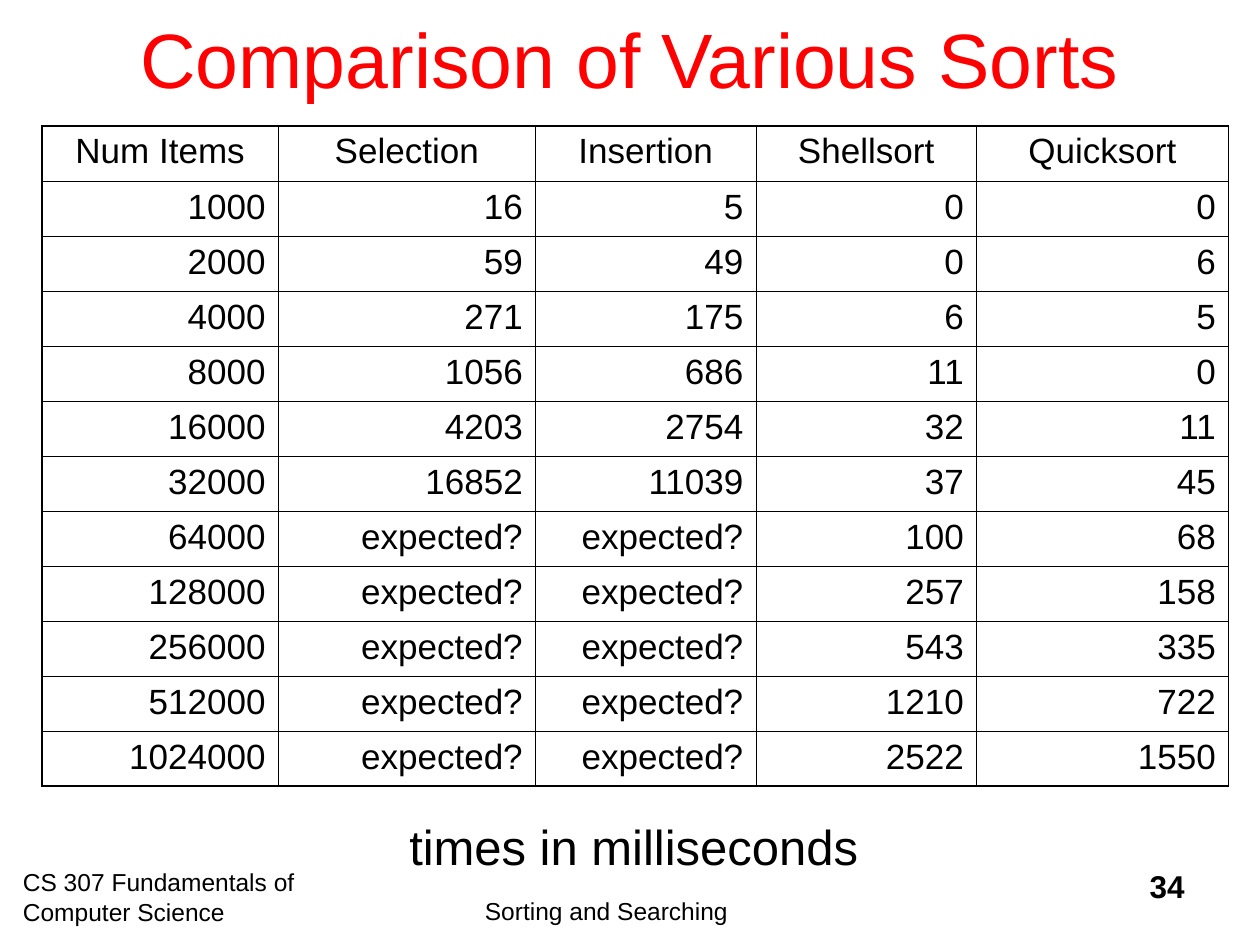
from dataclasses import dataclass

from lxml.etree import SubElement
from pptx import Presentation
from pptx.dml.color import RGBColor
from pptx.enum.text import MSO_ANCHOR as Anchor, MSO_AUTO_SIZE as AutoSize, PP_ALIGN as Align
from pptx.oxml.ns import qn
from pptx.util import Emu, Inches, Pt

SLIDE_W, SLIDE_H = Inches(10), Inches(7.5)
GRID_COLS = 120
UNIT = SLIDE_W / GRID_COLS
FONT, BLACK, RED = "Arial", "000000", "FF0000"
THIN, THICK = 0.45, 1.08

COL_SPANS = (22.5, 24.5, 21, 21, 24)
ROW_SPAN = 5.24
HEADERS = ("Num Items", "Selection", "Insertion", "Shellsort", "Quicksort")
TIMES = (
    (16, 5, 0, 0),
    (59, 49, 0, 6),
    (271, 175, 6, 5),
    (1056, 686, 11, 0),
    (4203, 2754, 32, 11),
    (16852, 11039, 37, 45),
    ("expected?", "expected?", 100, 68),
    ("expected?", "expected?", 257, 158),
    ("expected?", "expected?", 543, 335),
    ("expected?", "expected?", 1210, 722),
    ("expected?", "expected?", 2522, 1550),
)


@dataclass(frozen=True)
class Label:
    """A text box placed in grid columns and rows."""

    text: str
    col: float
    row: float
    cols: float
    rows: float
    size: float
    color: str = BLACK
    bold: bool = False
    align: Align = Align.LEFT
    anchor: Anchor = Anchor.TOP
    wrap: bool = True
    top_inset: float = 0.05


LABELS = (
    Label("CS 307 Fundamentals of Computer Science", 1, 82, 35, 6, 14),
    Label("Sorting and Searching", 45, 82, 40, 6, 14, top_inset=0.28),
    Label("34", 89, 82, 25, 6, 18, bold=True, align=Align.RIGHT),
    Label("Comparison of Various Sorts", 9, -2, 102, 15, 44, color=RED,
          align=Align.CENTER, anchor=Anchor.MIDDLE),
    Label("times in milliseconds", 37.8, 77.2, 45.1, 6.8, 28, wrap=False),
)


def grid(n: float) -> Emu:
    """Turn grid units into a length."""
    return Emu(round(n * UNIT))


def rgb(color: str) -> RGBColor:
    """Turn a hex string into a colour."""
    return RGBColor.from_string(color)


def write(tf, text: str, *, size: float, color: str = BLACK, bold: bool = False,
          align: Align = Align.LEFT) -> None:
    """Write one formatted paragraph into a text frame."""
    p = tf.paragraphs[0]
    p.alignment = align
    r = p.add_run()
    r.text = text
    r.font.name, r.font.size, r.font.bold = FONT, Pt(size), bold
    r.font.color.rgb = rgb(color)


def add_label(s, label: Label) -> None:
    """Draw a text box."""
    sp = s.shapes.add_textbox(*map(grid, (label.col, label.row, label.cols, label.rows)))
    tf = sp.text_frame
    tf.word_wrap = label.wrap
    tf.auto_size = AutoSize.NONE if label.wrap else AutoSize.SHAPE_TO_FIT_TEXT
    tf.vertical_anchor = label.anchor
    tf.margin_top = Inches(label.top_inset)
    write(tf, label.text, size=label.size, color=label.color, bold=label.bold,
          align=label.align)


def set_borders(cell, widths: dict[str, float]) -> None:
    """Give each side of a cell a black line of its own width."""
    tc_pr = cell._tc.get_or_add_tcPr()
    for i, (side, width) in enumerate(widths.items()):
        ln = SubElement(tc_pr, qn(f"a:ln{side}"), w=str(Pt(width)))
        SubElement(SubElement(ln, qn("a:solidFill")), qn("a:srgbClr"), val=BLACK)
        tc_pr.insert(i, ln)


def add_times_table(s, col: float, row: float) -> None:
    """Draw the table of sorting times; the item count doubles on each row."""
    rows = [HEADERS] + [(1000 * 2 ** i, *times) for i, times in enumerate(TIMES)]
    last_row, last_col = len(rows) - 1, len(HEADERS) - 1
    table = s.shapes.add_table(
        len(rows), len(HEADERS), grid(col), grid(row),
        grid(sum(COL_SPANS)), grid(ROW_SPAN * len(rows))).table
    table.first_row = table.horz_banding = False
    for column, span in zip(table.columns, COL_SPANS):
        column.width = grid(span)
    for i, values in enumerate(rows):
        table.rows[i].height = grid(ROW_SPAN)
        for j, value in enumerate(values):
            cell = table.cell(i, j)
            cell.fill.background()
            write(cell.text_frame, str(value), size=20,
                  align=Align.RIGHT if i else Align.CENTER)
            outer = {"L": j == 0, "R": j == last_col, "T": i == 0, "B": i == last_row}
            set_borders(cell, {side: THICK if edge else THIN for side, edge in outer.items()})


def main() -> None:
    """Build the slide and save it."""
    prs = Presentation()
    prs.slide_width, prs.slide_height = SLIDE_W, SLIDE_H
    s = prs.slides.add_slide(prs.slide_layouts[6])
    *framing, caption = LABELS
    for label in framing:
        add_label(s, label)
    add_times_table(s, 4, 12)
    add_label(s, caption)
    prs.save("out.pptx")


if __name__ == "__main__":
    main()
